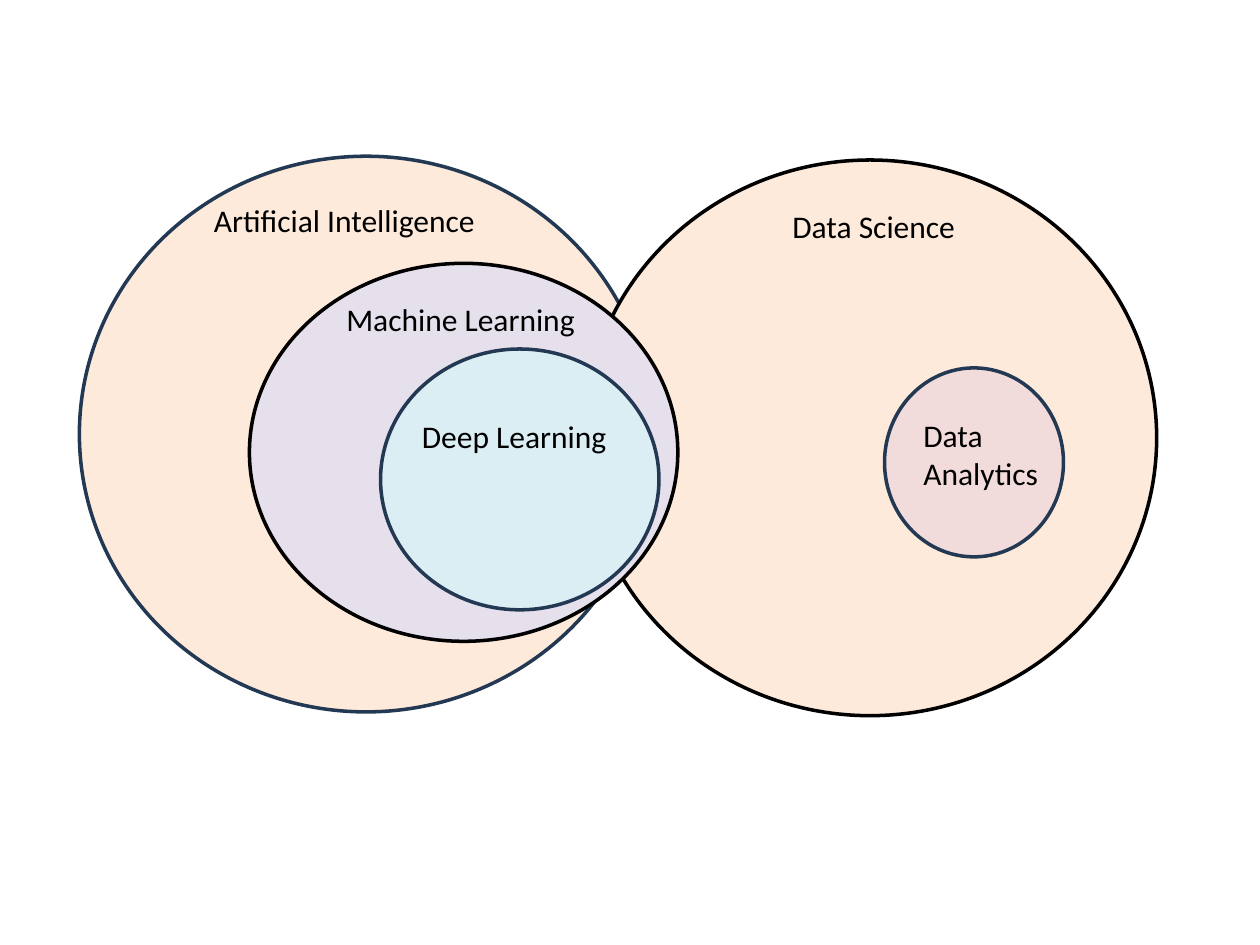
import pptx
import pptx.dml.color
import pptx.enum.shapes
import pptx.enum.text
import pptx.util

COLORS = {
    "peach": "FDEADA", "rose": "F2DCDB", "lavender": "E6E0EC",
    "aqua": "DBEEF4", "navy": "233953", "black": "000000",
}


class VennSlide:
    """Holds the style and the slide; lengths are cells of a 100 x 75 grid."""
    COLUMNS, ROWS = 100, 75
    FONT, TEXT_SIZE, OUTLINE = "Calibri", 18, 2

    def __init__(self, deck):
        self.cell_width = deck.slide_width / self.COLUMNS
        self.cell_height = deck.slide_height / self.ROWS
        self.slide = deck.slides.add_slide(deck.slide_layouts[6])

    def place(self, column, row, columns, rows):
        return (round(column * self.cell_width), round(row * self.cell_height),
                round(columns * self.cell_width), round(rows * self.cell_height))

    def color(self, name):
        return pptx.dml.color.RGBColor.from_string(COLORS[name])

    def field(self, area, fill, outline):
        ellipse = self.slide.shapes.add_shape(
            pptx.enum.shapes.MSO_SHAPE.OVAL, *self.place(*area))
        ellipse.shadow.inherit = False
        ellipse.fill.solid()
        ellipse.fill.fore_color.rgb = self.color(fill)
        ellipse.line.color.rgb = self.color(outline)
        ellipse.line.width = pptx.util.Pt(self.OUTLINE)

    def label(self, area, wording, wrap=False):
        frame = self.slide.shapes.add_textbox(*self.place(*area)).text_frame
        frame.word_wrap = wrap
        frame.auto_size = pptx.enum.text.MSO_AUTO_SIZE.SHAPE_TO_FIT_TEXT
        frame.text = wording
        font = frame.paragraphs[0].runs[0].font
        font.name = self.FONT
        font.size = pptx.util.Pt(self.TEXT_SIZE)
        font.color.rgb = self.color("black")


def main():
    deck = pptx.Presentation()
    deck.slide_width = pptx.util.Inches(10)
    deck.slide_height = pptx.util.Inches(7.5)
    venn = VennSlide(deck)

    # The two overlapping disciplines share one size
    discipline = (45.5, 44.1)
    venn.field((6.3, 12.4, *discipline), "peach", "navy")
    venn.label((16, 15.5, 24.3, 4), "Artificial Intelligence")
    venn.field((46.3, 12.7, *discipline), "peach", "black")
    venn.label((61.9, 15.9, 17, 4), "Data Science")

    # Subfield of data science
    venn.field((70.2, 29.2, 14.2, 15), "rose", "navy")
    venn.label((72.3, 32.5, 14.2, 7.1), "Data Analytics", wrap=True)

    # Nested subfields of artificial intelligence
    venn.field((19.8, 20.9, 34, 30), "lavender", "black")
    venn.label((26.5, 23.3, 22.1, 4), "Machine Learning")
    venn.field((30.2, 27.7, 22.1, 20.7), "aqua", "navy")
    venn.label((32.5, 32.6, 18.6, 4), "Deep Learning")

    deck.save("out.pptx")


if __name__ == "__main__":
    main()
